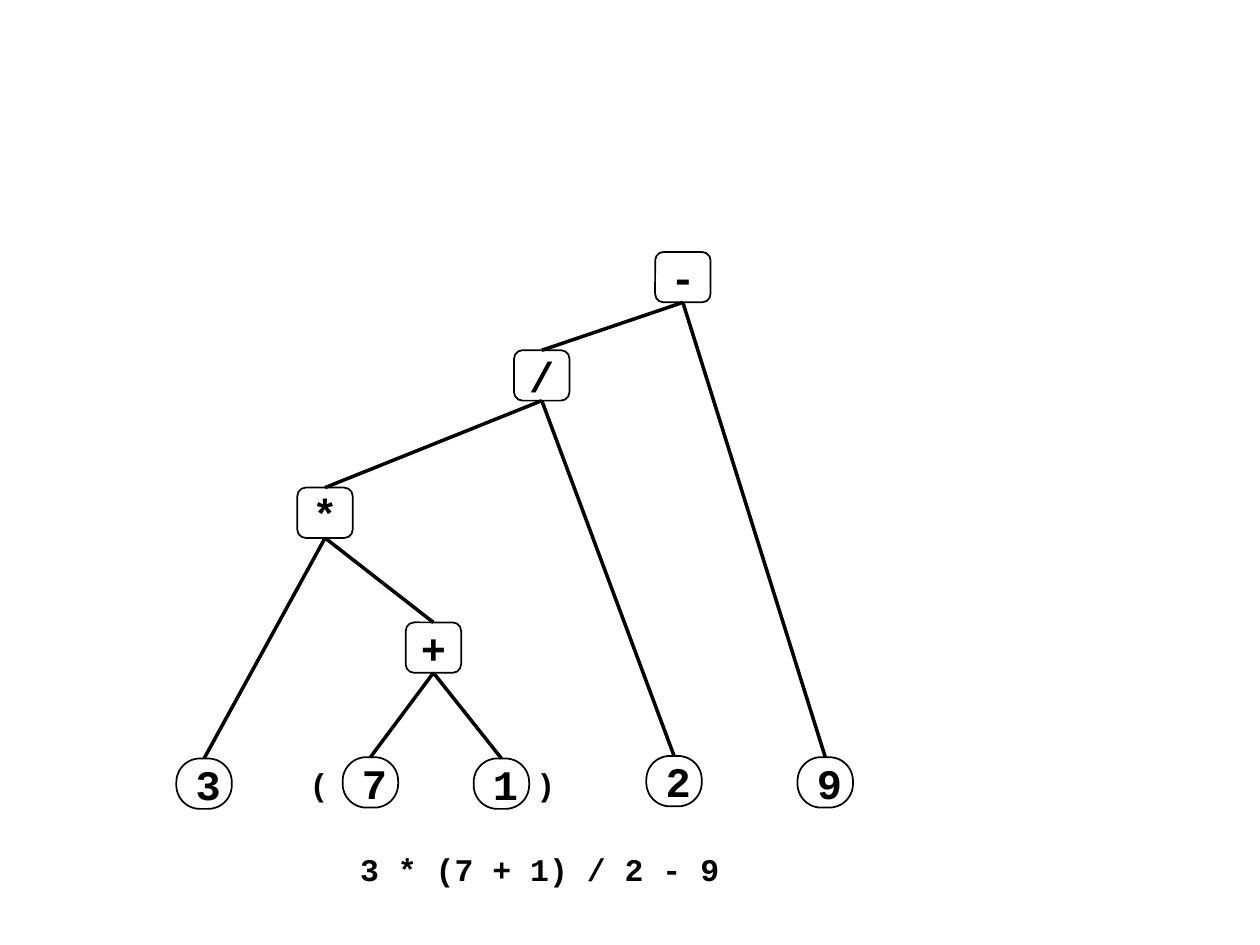
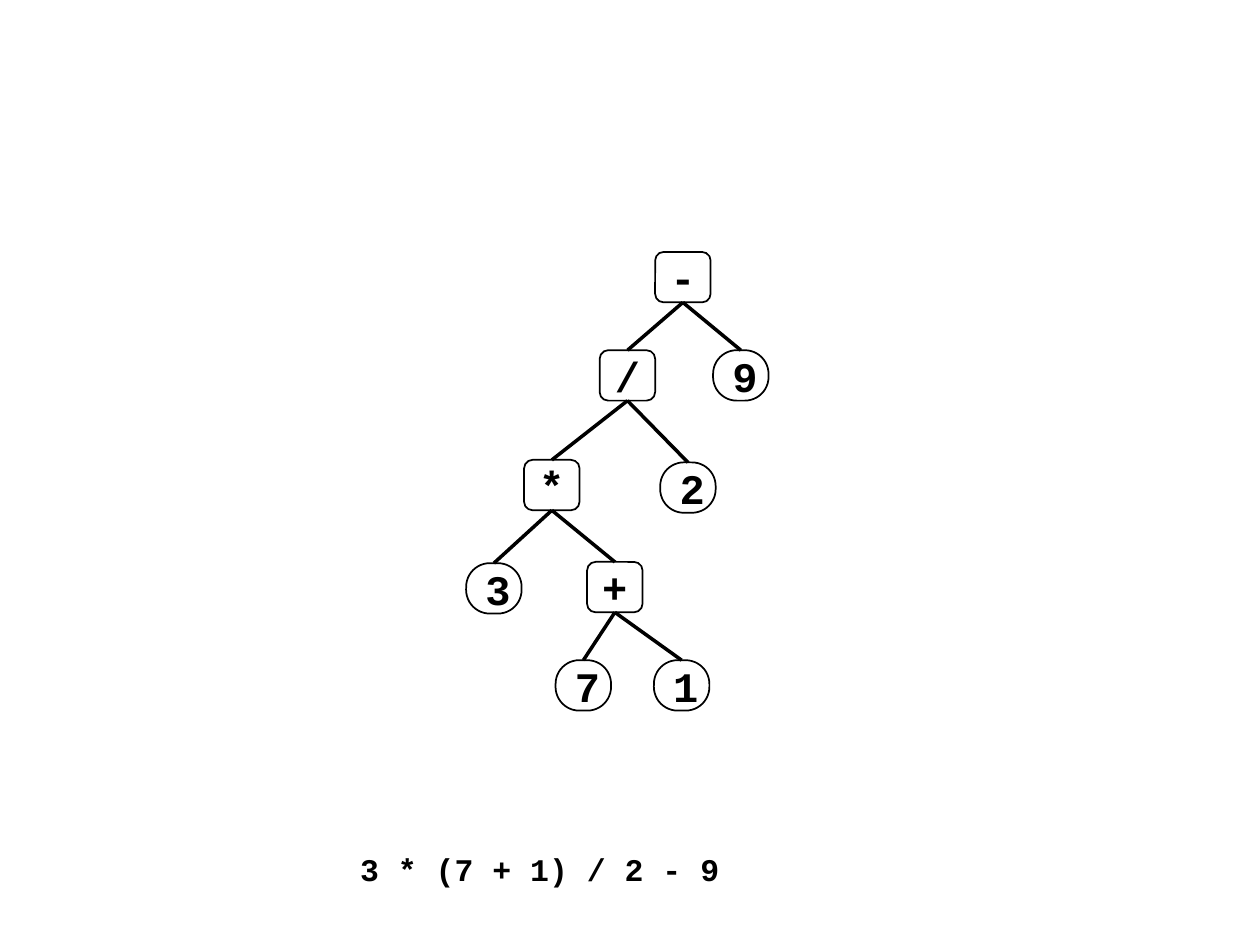
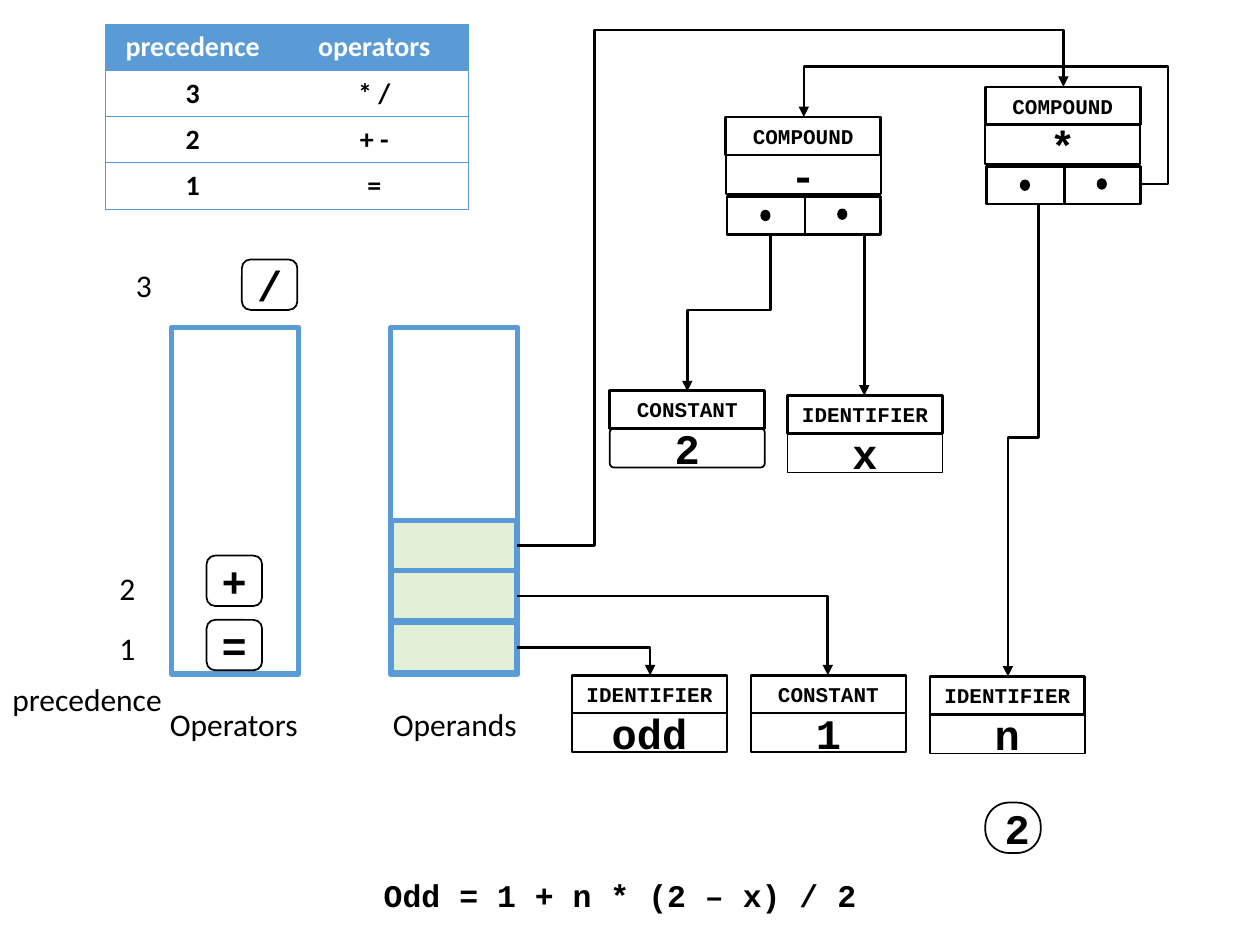
from lxml.etree import SubElement
from pptx import Presentation
from pptx.dml.color import RGBColor
from pptx.enum.shapes import MSO_CONNECTOR, MSO_SHAPE
from pptx.enum.text import MSO_ANCHOR, PP_ALIGN
from pptx.oxml.ns import qn
from pptx.shapes.connector import Connector
from pptx.util import Inches, Pt

BLACK = RGBColor(0x00, 0x00, 0x00)
WHITE = RGBColor(0xFF, 0xFF, 0xFF)
BLUE = RGBColor(0x5B, 0x9B, 0xD5)
GREEN = RGBColor(0xE2, 0xF0, 0xD9)
CODE_FONT = "Courier New"
LABEL_FONT = "Calibri"
NODE_WIDTH, NODE_HEIGHT = 0.44, 0.4
OPERATOR_CORNER, NUMBER_CORNER = 0.17, 0.47
RECORD_WIDTH, TAG_HEIGHT, VALUE_HEIGHT = 1.23, 0.3, 0.31
NO_GRID_STYLE = "{2D5ABB26-0587-4C30-8999-92F81FD0307C}"


def add_box(page, left, top, width, height, text="", size=24, kind=MSO_SHAPE.ROUNDED_RECTANGLE,
            corner=0, fill=WHITE, line=BLACK, weight=1):
    box = page.shapes.add_shape(kind, Inches(left), Inches(top), Inches(width), Inches(height))
    if kind == MSO_SHAPE.ROUNDED_RECTANGLE:
        box.adjustments[0] = corner
    box.shadow.inherit = False
    box.fill.solid()
    box.fill.fore_color.rgb = fill
    box.line.color.rgb = line
    box.line.width = Pt(weight)
    if text:
        box.text_frame.vertical_anchor = MSO_ANCHOR.MIDDLE
        para = box.text_frame.paragraphs[0]
        para.text = text
        para.alignment = PP_ALIGN.CENTER
        para.font.name, para.font.size, para.font.bold = CODE_FONT, Pt(size), True
        para.font.color.rgb = BLACK
    return box


def add_text(page, left, top, width, text, font=CODE_FONT, wrap=False):
    box = page.shapes.add_textbox(Inches(left), Inches(top), Inches(width), Inches(0.4))
    box.text_frame.word_wrap = wrap
    para = box.text_frame.paragraphs[0]
    para.text = text
    para.font.name, para.font.size, para.font.bold = font, Pt(18), font == CODE_FONT
    para.font.color.rgb = BLACK
    return para


deck = Presentation()
deck.slide_width, deck.slide_height = Inches(10), Inches(7.5)
blank = deck.slide_layouts[6]

edges = ["+1", "+7", "*3", "*+", "/2", "/*", "-/", "-9"]
aligned_tree = {
    "-": (5.2, 2), "3": (1.4, 6.02), "7": (2.72, 6.01), "1": (3.76, 6.02), "2": (5.13, 6),
    "9": (6.33, 6.01), "*": (2.36, 3.87), "+": (3.22, 4.94), "/": (4.08, 2.78),
}
compact_tree = {
    "-": (5.2, 2), "3": (3.7, 4.47), "7": (4.41, 5.24), "1": (5.19, 5.24), "2": (5.24, 3.67),
    "9": (5.66, 2.78), "*": (4.16, 3.65), "+": (4.66, 4.46), "/": (4.76, 2.78),
}

for tree in (aligned_tree, compact_tree):
    page = deck.slides.add_slide(blank)
    if tree is aligned_tree:
        parentheses = add_text(page, 2.36, 6.02, 2.16, "(\t)", wrap=True)
        tab_stops = SubElement(parentheses._p.get_or_add_pPr(), qn("a:tabLst"))
        SubElement(tab_stops, qn("a:tab"), pos=str(Inches(1.8)), algn="l")
    add_text(page, 2.76, 6.7, 3.07, "3 * (7 + 1) / 2 - 9")
    nodes = {}
    for symbol, (left, top) in tree.items():
        corner = NUMBER_CORNER if symbol.isdigit() else OPERATOR_CORNER
        nodes[symbol] = add_box(page, left, top, NODE_WIDTH, NODE_HEIGHT, symbol, corner=corner)
    for parent, child in edges:
        edge = page.shapes.add_connector(MSO_CONNECTOR.STRAIGHT, 0, 0, 0, 0)
        edge.begin_connect(nodes[parent], 2)
        edge.end_connect(nodes[child], 0)
        edge.line.width = Pt(2)

page = deck.slides.add_slide(blank)
for left in (1.36, 3.1):
    add_box(page, left, 2.6, 1.01, 2.75, kind=MSO_SHAPE.RECTANGLE, line=BLUE, weight=3)
for top in (4.94, 4.53, 4.13):
    add_box(page, 3.11, top, 0.99, 0.4, kind=MSO_SHAPE.RECTANGLE, fill=GREEN, line=BLUE, weight=3)
for symbol, left, top, corner in [
    ("=", 1.64, 4.92, OPERATOR_CORNER), ("+", 1.64, 4.41, OPERATOR_CORNER),
    ("/", 1.92, 2.06, OPERATOR_CORNER), ("2", 7.82, 6.37, NUMBER_CORNER),
]:
    add_box(page, left, top, NODE_WIDTH, NODE_HEIGHT, symbol, corner=corner)

for text, left, top, width in [
    ("Operators", 1.25, 5.55, 1.23), ("Operands", 3.02, 5.55, 1.2), ("precedence", 0, 5.35, 1.4),
    ("1", 0.85, 4.94, 0.33), ("2", 0.85, 4.47, 0.33), ("3", 0.98, 2.06, 0.33),
]:
    add_text(page, left, top, width, text, LABEL_FONT)
formula = add_text(page, 2.7, 6.9, 4.59, "Odd = 1 + n * (2 – x) / 2 ", wrap=True)
formula.alignment = PP_ALIGN.CENTER

rows = [("precedence", "operators"), ("3", "* /"), ("2", "+ -"), ("1", "=")]
table = page.shapes.add_table(4, 2, Inches(0.84), Inches(0.19), Inches(2.88), Inches(1.47)).table
table._tbl.tblPr.find(qn("a:tableStyleId")).text = NO_GRID_STYLE
table.columns[0].width, table.columns[1].width = Inches(1.38), Inches(1.5)
for row_index, row in enumerate(rows):
    for column_index, text in enumerate(row):
        cell = table.cell(row_index, column_index)
        cell.text = text
        para = cell.text_frame.paragraphs[0]
        para.alignment = PP_ALIGN.CENTER
        para.font.name, para.font.size, para.font.bold = LABEL_FONT, Pt(16), True
        para.font.color.rgb = BLACK if row_index else WHITE
        for side in ("lnR" if column_index else "lnL", "lnT", "lnB"):
            border = SubElement(cell._tc.get_or_add_tcPr(), qn(f"a:{side}"), w=str(Pt(0.5)))
            SubElement(SubElement(border, qn("a:solidFill")), qn("a:srgbClr"), val=str(BLUE))
        if row_index:
            cell.fill.background()
        else:
            cell.fill.solid()
            cell.fill.fore_color.rgb = BLUE

for preset, start, end, bends, rotation in [
    ("bentConnector2", (4.1, 5.14), (5.16, 5.36), [], 0),
    ("bentConnector2", (4.1, 4.73), (6.57, 5.36), [], 0),
    ("bentConnector4", (4.1, 4.33), (8.44, 0.69), [0.143, 1.124], 0),
    ("bentConnector4", (8.12, 1.47), (8, 5.37), [-1.03, 0.514], 0),
    ("bentConnector4", (8.87, 1.46), (6.38, 0.93), [-0.161, 1.76], 0),
    ("bentConnector3", (5.14, 2.13), (6.43, 2.79), [0.5], 90),
    ("bentConnector2", (6.8, 1.72), (6.86, 3.14), [], 0),
]:
    arrow = page.shapes.add_connector(MSO_CONNECTOR.ELBOW, *map(Inches, start + end))
    arrow.line.width = Pt(1.5)
    SubElement(arrow.line._get_or_add_ln(), qn("a:tailEnd"), type="triangle")
    properties = arrow._element.spPr
    if rotation:
        properties.find(qn("a:xfrm")).set("rot", str(rotation * 60000))
    geometry = properties.find(qn("a:prstGeom"))
    geometry.set("prst", preset)
    guides = geometry.find(qn("a:avLst"))
    for number, bend in enumerate(bends, 1):
        name = f"adj{number}"
        SubElement(guides, qn("a:gd"), name=name, fmla=f"val {round(bend * 100000)}")

for tag, value, left, top, corner in [
    ("IDENTIFIER", "odd", 4.54, 5.36, 0), ("CONSTANT", "1", 5.96, 5.36, 0),
    ("IDENTIFIER", "n", 7.38, 5.37, 0), ("CONSTANT", "2", 4.84, 3.1, 0.1),
    ("IDENTIFIER", "x", 6.25, 3.14, 0), ("COMPOUND", "-", 5.76, 0.93, 0),
    ("COMPOUND", "*", 7.82, 0.69, 0),
]:
    add_box(page, left, top + TAG_HEIGHT, RECORD_WIDTH, VALUE_HEIGHT, value, corner=corner)
    add_box(page, left, top, RECORD_WIDTH, TAG_HEIGHT, tag, size=12, weight=1.5)
    if tag == "COMPOUND":
        for offset, width in ((0.01, 0.62), (0.63, 0.6)):
            add_box(page, left + offset, top + 0.63, width, TAG_HEIGHT, weight=1.5)
        for offset, drop in ((0.28, 0.74), (0.89, 0.73)):
            add_box(page, left + offset, top + drop, 0.07, 0.08, kind=MSO_SHAPE.OVAL,
                    fill=BLACK, weight=0.75)

for page in deck.slides:
    for shape in page.shapes:
        if isinstance(shape, Connector):
            shape.line.color.rgb = BLACK
            SubElement(shape._element.spPr, qn("a:effectLst"))

deck.save("out.pptx")
